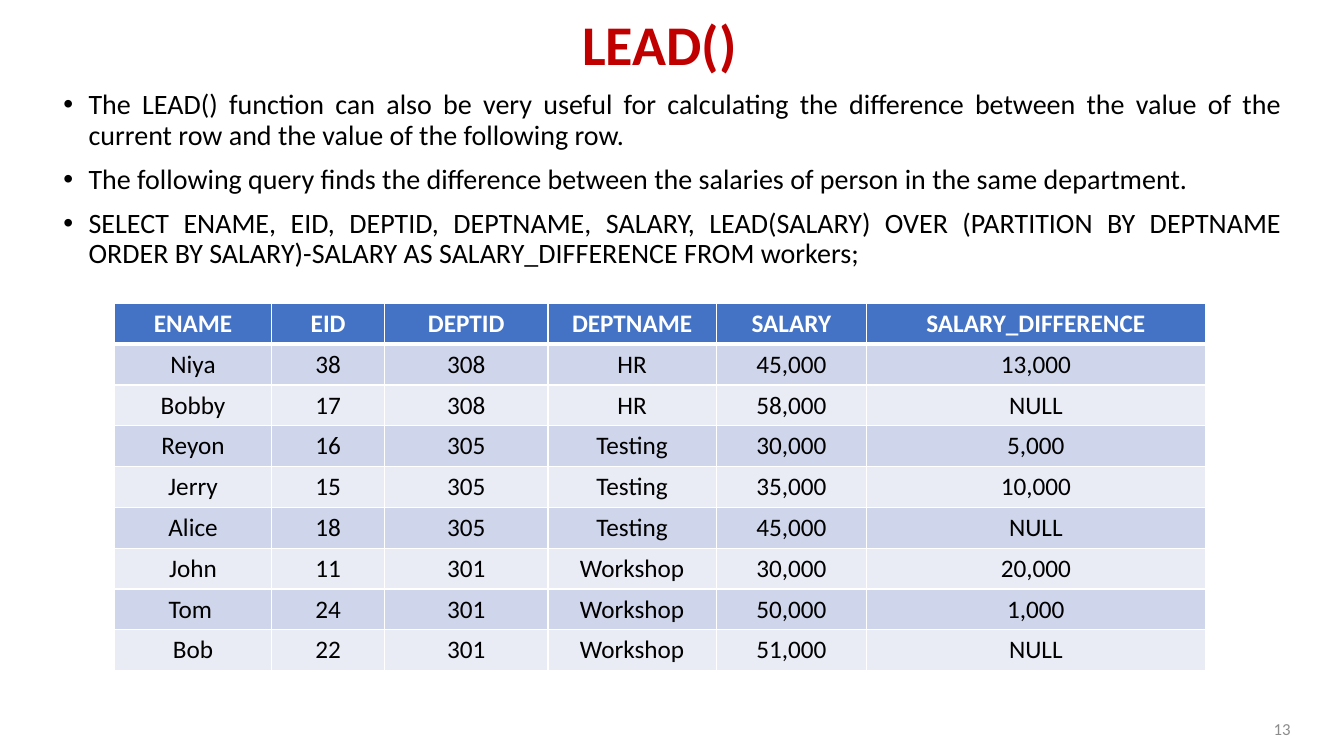
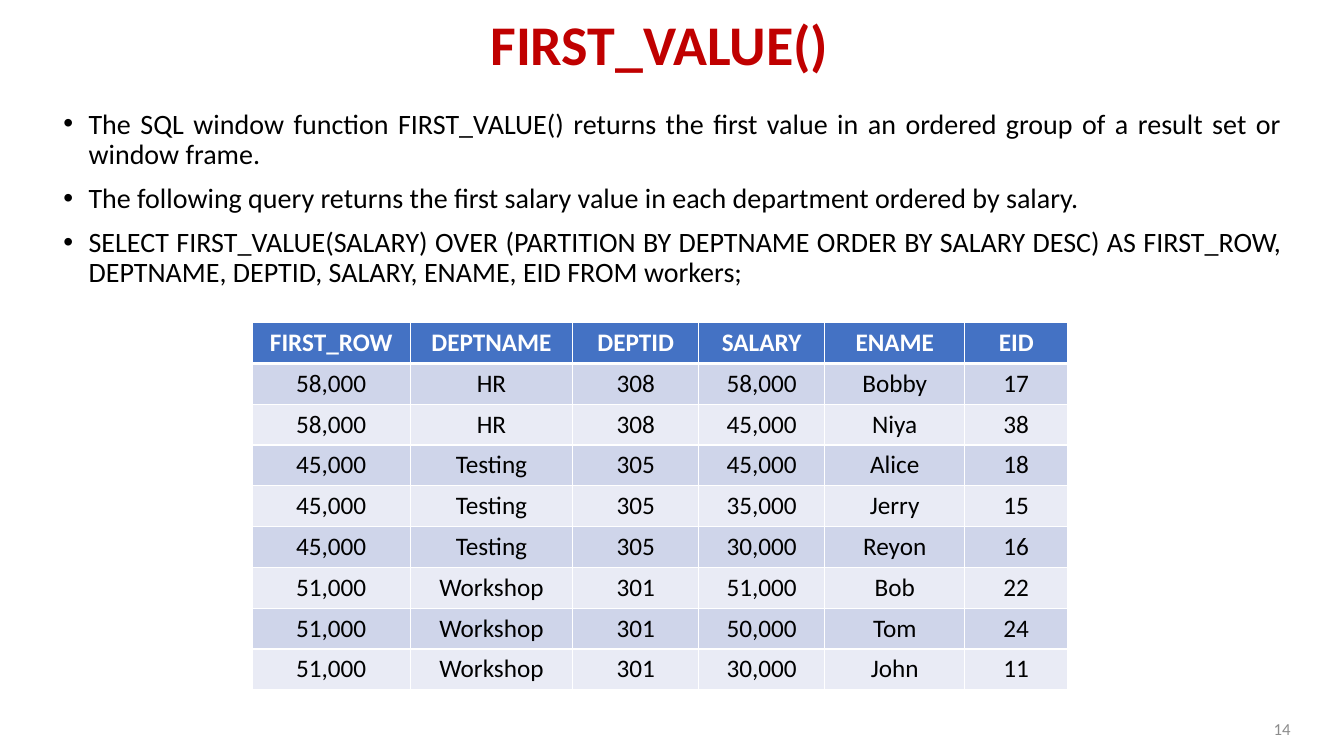
from lxml.etree import SubElement
from pptx import Presentation
from pptx.dml.color import RGBColor
from pptx.enum.text import MSO_ANCHOR, PP_ALIGN
from pptx.oxml.ns import qn
from pptx.util import Inches, Pt

FONT = "Calibri"
RED = RGBColor(0xC0, 0x00, 0x00)
BLACK = RGBColor(0x00, 0x00, 0x00)
WHITE = RGBColor(0xFF, 0xFF, 0xFF)
GREY = RGBColor(0x8C, 0x8C, 0x8C)
HEADER_BLUE = RGBColor(0x44, 0x72, 0xC4)
BAND_DARK = RGBColor(0xCF, 0xD5, 0xEA)
BAND_LIGHT = RGBColor(0xE9, 0xEB, 0xF5)

SLIDE_WIDTH = 13.33
ROW_HEIGHT = 0.405

LEAD_BULLETS = [
    "The LEAD() function can also be very useful for calculating the difference between the value of the current row and the value of the following row.",
    "The following query finds the difference between the salaries of person in the same department.",
    "SELECT ENAME, EID, DEPTID, DEPTNAME, SALARY, LEAD(SALARY) OVER (PARTITION BY DEPTNAME ORDER BY SALARY)-SALARY AS SALARY_DIFFERENCE FROM workers;",
]
LEAD_WIDTHS = [1.56, 1.12, 1.62, 1.67, 1.49, 3.36]
LEAD_ROWS = [
    ["ENAME", "EID", "DEPTID", "DEPTNAME", "SALARY", "SALARY_DIFFERENCE"],
    ["Niya", "38", "308", "HR", "45,000", "13,000"],
    ["Bobby", "17", "308", "HR", "58,000", "NULL"],
    ["Reyon", "16", "305", "Testing", "30,000", "5,000"],
    ["Jerry", "15", "305", "Testing", "35,000", "10,000"],
    ["Alice", "18", "305", "Testing", "45,000", "NULL"],
    ["John", "11", "301", "Workshop", "30,000", "20,000"],
    ["Tom ", "24", "301", "Workshop", "50,000", "1,000"],
    ["Bob", "22", "301", "Workshop", "51,000", "NULL"],
]

FIRST_VALUE_BULLETS = [
    "The SQL window function FIRST_VALUE() returns the first value in an ordered group of a result set or window frame.",
    "The following query returns the first salary value in each department ordered by salary.",
    "SELECT FIRST_VALUE(SALARY) OVER (PARTITION BY DEPTNAME ORDER BY SALARY DESC) AS FIRST_ROW, DEPTNAME, DEPTID, SALARY, ENAME, EID FROM workers;",
]
FIRST_VALUE_WIDTHS = [1.57, 1.61, 1.25, 1.25, 1.39, 1.02]
FIRST_VALUE_ROWS = [
    ["FIRST_ROW", "DEPTNAME", "DEPTID", "SALARY", "ENAME", "EID"],
    ["58,000", "HR", "308", "58,000", "Bobby", "17"],
    ["58,000", "HR", "308", "45,000", "Niya", "38"],
    ["45,000", "Testing", "305", "45,000", "Alice", "18"],
    ["45,000", "Testing", "305", "35,000", "Jerry", "15"],
    ["45,000", "Testing", "305", "30,000", "Reyon", "16"],
    ["51,000", "Workshop", "301", "51,000", "Bob", "22"],
    ["51,000", "Workshop", "301", "50,000", "Tom", "24"],
    ["51,000", "Workshop", "301", "30,000", "John", "11"],
]


def format_paragraph(paragraph, size, color, alignment, bold=False):
    paragraph.alignment = alignment
    for run in paragraph.runs:
        run.font.name = FONT
        run.font.size = Pt(size)
        run.font.bold = bold
        run.font.color.rgb = color


def add_title(slide, text):
    title = slide.shapes.title
    title.left, title.top = Inches(0.79), Inches(-0.25)
    title.width, title.height = Inches(11.5), Inches(1.45)
    title.text_frame.text = text
    title.text_frame.vertical_anchor = MSO_ANCHOR.MIDDLE
    paragraph = title.text_frame.paragraphs[0]
    paragraph.line_spacing = 0.9
    format_paragraph(paragraph, 40, RED, PP_ALIGN.CENTER, bold=True)


def add_page_number(slide, number):
    box = slide.shapes.add_textbox(Inches(9.9), Inches(7.03), Inches(3), Inches(0.4))
    box.text_frame.word_wrap = True
    box.text_frame.vertical_anchor = MSO_ANCHOR.MIDDLE
    box.text_frame.text = str(number)
    format_paragraph(box.text_frame.paragraphs[0], 12, GREY, PP_ALIGN.RIGHT)


def add_bullet_mark(paragraph):
    properties = paragraph._p.get_or_add_pPr()
    properties.set("marL", str(Inches(0.25)))
    properties.set("indent", str(-Inches(0.25)))
    SubElement(properties, qn("a:buFont"), typeface="Arial")
    SubElement(properties, qn("a:buChar"), char="•")


def add_bullets(slide, top, texts):
    box = slide.shapes.add_textbox(Inches(0.53), Inches(top), Inches(12.28), Inches(1.95))
    text_frame = box.text_frame
    text_frame.word_wrap = True
    text_frame.text = "\n".join(texts)
    for index, paragraph in enumerate(text_frame.paragraphs):
        add_bullet_mark(paragraph)
        paragraph.line_spacing = 0.9
        paragraph.space_before = Pt(10 if index else 0)
        format_paragraph(paragraph, 20, BLACK, PP_ALIGN.JUSTIFY)


def set_borders(cell, top_width, bottom_width):
    properties = cell._tc.get_or_add_tcPr()
    widths = {"a:lnL": 1, "a:lnR": 1, "a:lnT": top_width, "a:lnB": bottom_width}
    for tag, width in widths.items():
        line = SubElement(properties, qn(tag), w=str(Pt(width)))
        fill = SubElement(line, qn("a:solidFill"))
        SubElement(fill, qn("a:srgbClr"), val=str(WHITE))


def format_cell(cell, row_index):
    is_header = row_index == 0
    set_borders(cell, 3 if row_index == 1 else 1, 3 if is_header else 1)
    band = BAND_DARK if row_index % 2 else BAND_LIGHT
    cell.fill.solid()
    cell.fill.fore_color.rgb = HEADER_BLUE if is_header else band
    color = WHITE if is_header else BLACK
    format_paragraph(cell.text_frame.paragraphs[0], 18, color, PP_ALIGN.CENTER, is_header)


def add_centered_table(slide, top, widths, rows):
    total_width = sum(widths)
    left = (SLIDE_WIDTH - total_width) / 2 - 0.12
    frame = slide.shapes.add_table(
        len(rows), len(widths), Inches(left), Inches(top),
        Inches(total_width), Inches(ROW_HEIGHT * len(rows)))
    table = frame.table
    for column, width in zip(table.columns, widths):
        column.width = Inches(width)
    for row_index, values in enumerate(rows):
        table.rows[row_index].height = Inches(ROW_HEIGHT)
        for column_index, value in enumerate(values):
            cell = table.cell(row_index, column_index)
            cell.text_frame.text = value
            format_cell(cell, row_index)


def add_function_slide(presentation, number, title, top, bullets, widths, rows):
    slide = presentation.slides.add_slide(presentation.slide_layouts[5])
    add_title(slide, title)
    add_page_number(slide, number)
    add_bullets(slide, top, bullets)
    add_centered_table(slide, top + 2.16, widths, rows)


def main():
    presentation = Presentation()
    presentation.slide_width = Inches(SLIDE_WIDTH)
    presentation.slide_height = Inches(7.5)
    add_function_slide(presentation, 13, "LEAD()", 0.85,
                       LEAD_BULLETS, LEAD_WIDTHS, LEAD_ROWS)
    add_function_slide(presentation, 14, "FIRST_VALUE()", 1.04,
                       FIRST_VALUE_BULLETS, FIRST_VALUE_WIDTHS, FIRST_VALUE_ROWS)
    presentation.save("out.pptx")


if __name__ == "__main__":
    main()
